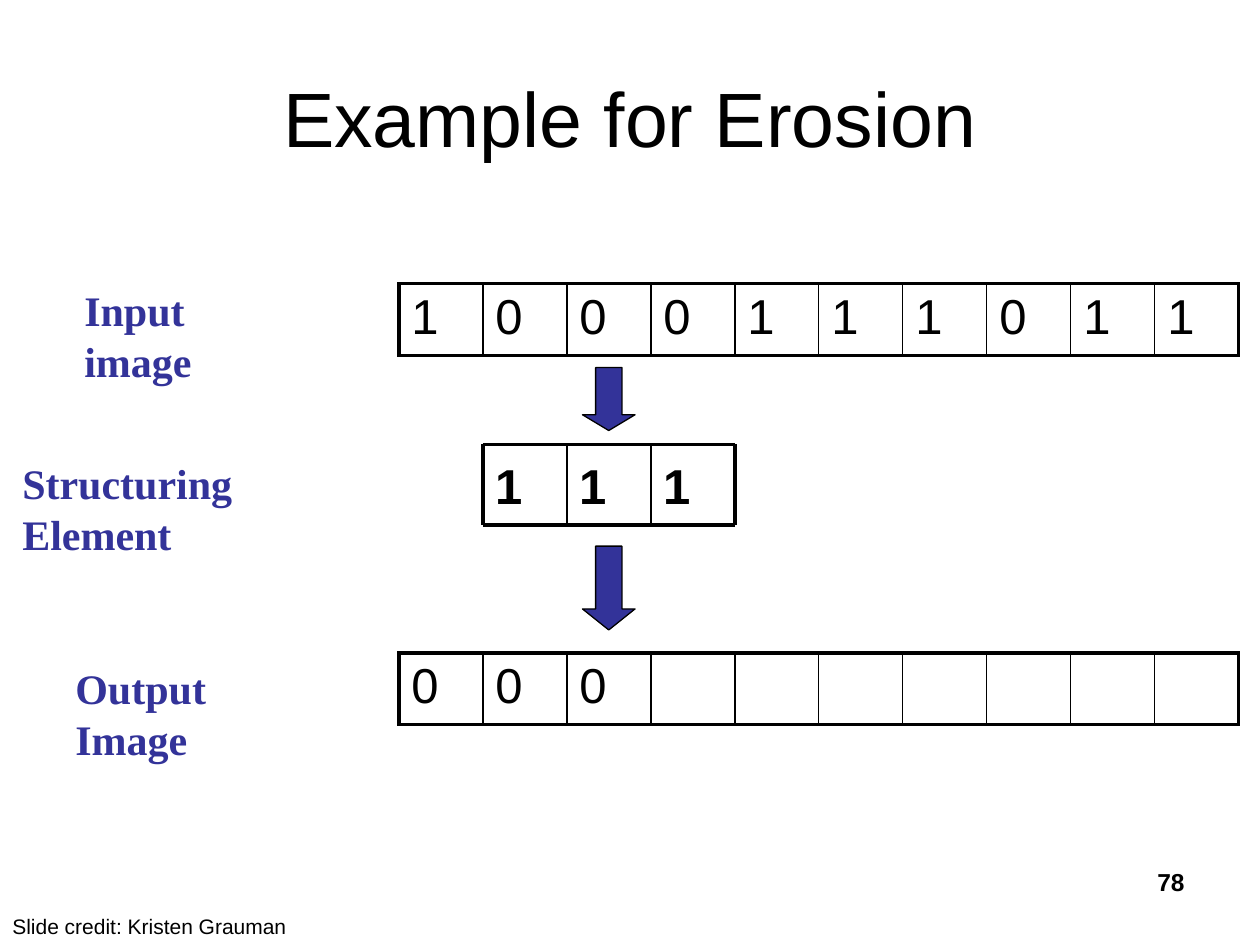
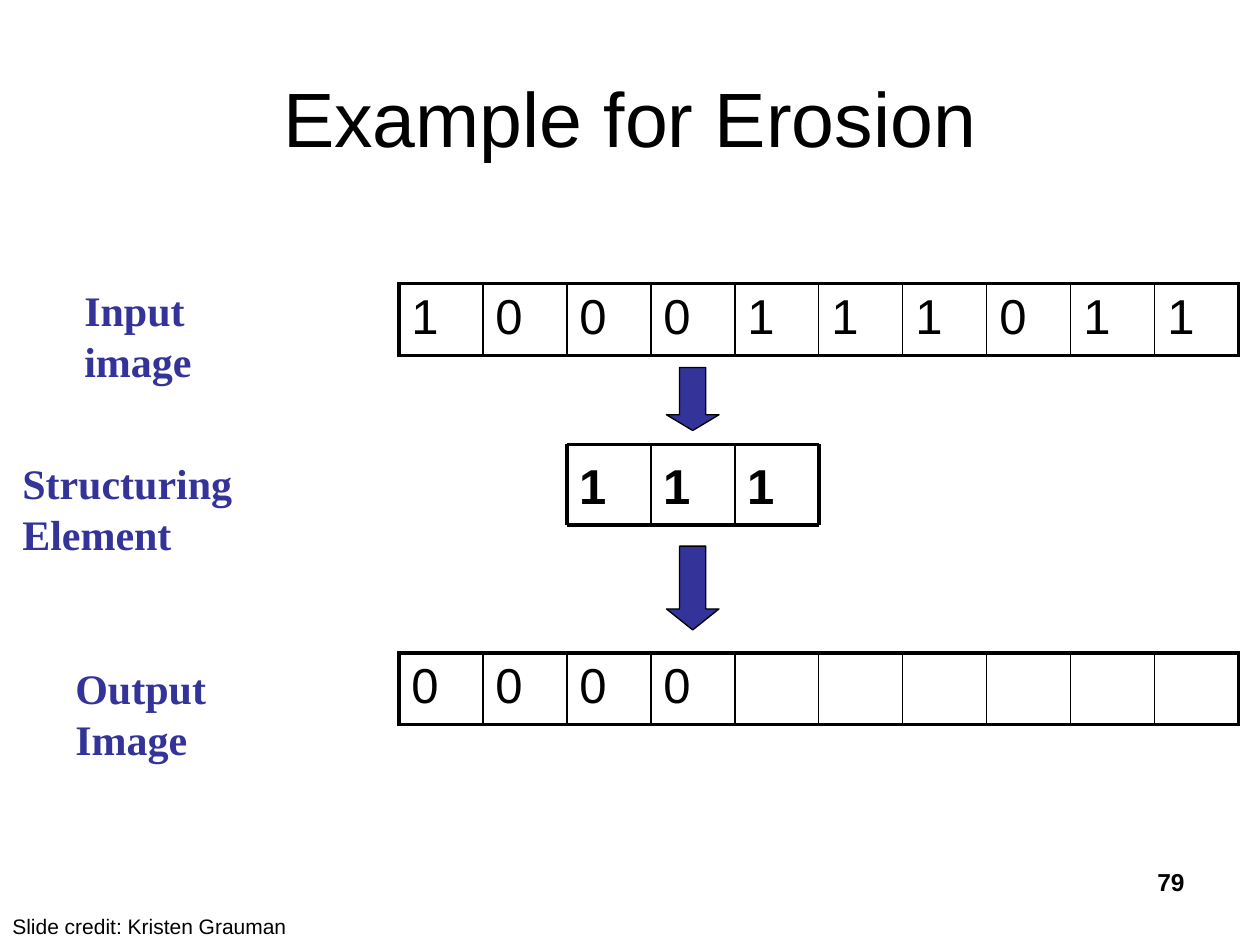
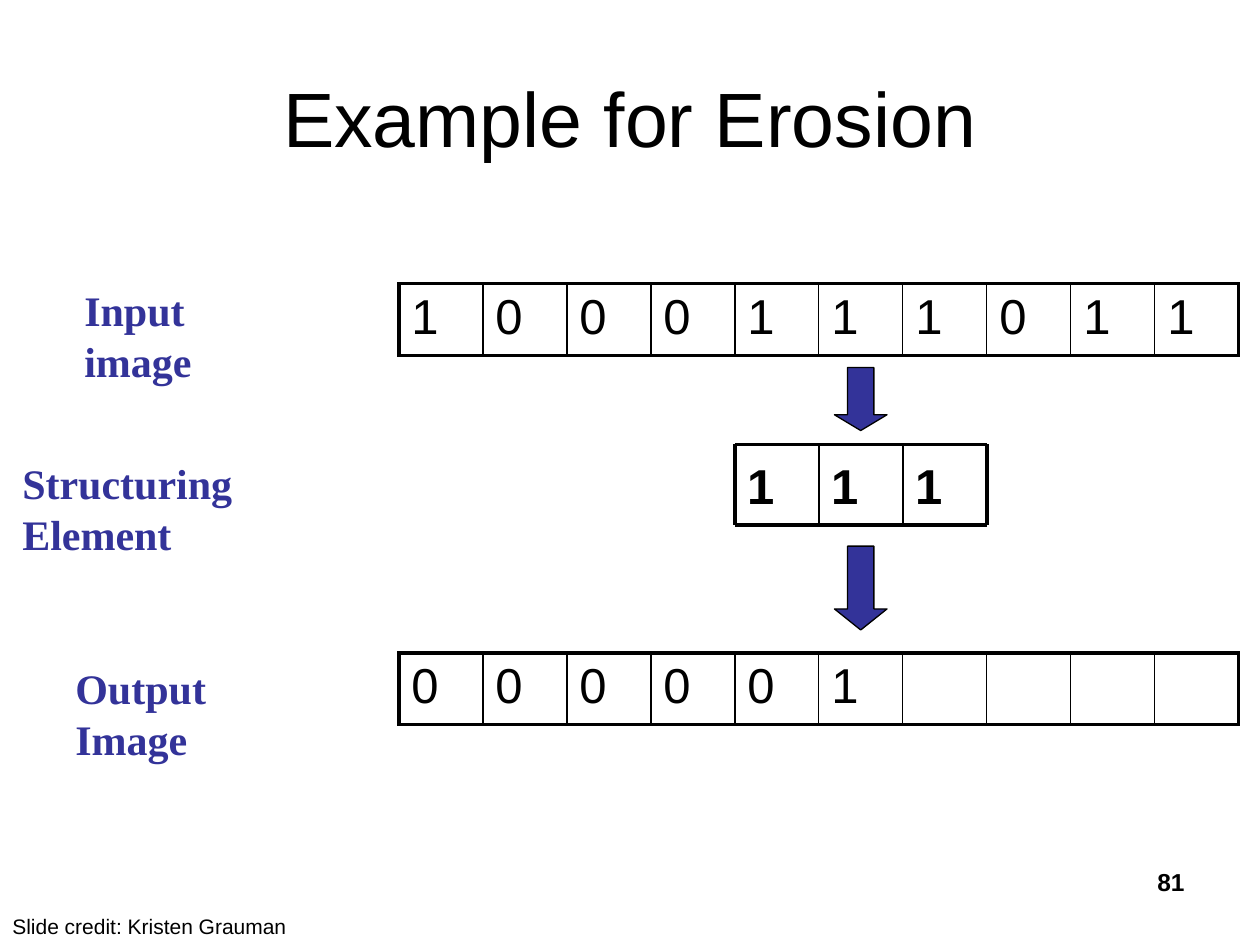
from lxml import etree
from pptx import Presentation
from pptx.dml.color import RGBColor
from pptx.enum.shapes import MSO_CONNECTOR, MSO_SHAPE
from pptx.enum.text import MSO_ANCHOR, PP_ALIGN
from pptx.oxml.ns import qn
from pptx.util import Cm, Pt

LEFT, CENTER, RIGHT = PP_ALIGN.LEFT, PP_ALIGN.CENTER, PP_ALIGN.RIGHT
TOP, MIDDLE = MSO_ANCHOR.TOP, MSO_ANCHOR.MIDDLE
STRAIGHT, DOWN_ARROW = MSO_CONNECTOR.STRAIGHT, MSO_SHAPE.DOWN_ARROW

BLACK, INDIGO = "000000", "333399"
SANS, SERIF = "Arial", "Times New Roman"
THICK, THIN = 2.25, 1
TITLE_ONLY = 5

SIGNAL_LEFT, SIGNAL_WIDTH, SIGNAL_LENGTH = 8.04, 16.93, 10
PIXEL = SIGNAL_WIDTH / SIGNAL_LENGTH
INPUT = "1000111011"
ELEMENT = "111"
STEPS = [("78", "000"), ("79", "0000"), ("81", "000001")]
LABELS = [
    ("Input image", (1.45, 5.61, 4.57, 1.27)),
    ("Structuring Element", (0.2, 9.09, 7.34, 1.27)),
    ("Output Image", (1.27, 13.23, 5.18, 1.27)),
]


def rgb(value):
    """Turn a hex string into a colour."""
    return RGBColor.from_string(value)


def lengths(*values):
    """Turn centimetres into slide lengths."""
    return [Cm(value) for value in values]


def write(frame, text, size, font=SANS, color=BLACK, bold=False, align=LEFT,
          anchor=TOP, spacing=None):
    """Put one formatted paragraph into a text frame."""
    frame.word_wrap = True
    frame.vertical_anchor = anchor
    paragraph = frame.paragraphs[0]
    paragraph.alignment = align
    paragraph.line_spacing = spacing
    run = paragraph.add_run()
    run.text = text
    run.font.size = Pt(size)
    run.font.name = font
    run.font.bold = bold
    run.font.color.rgb = rgb(color)


def add_text(slide, box, text, size, **style):
    """Add a text box with one formatted paragraph."""
    frame = slide.shapes.add_textbox(*lengths(*box)).text_frame
    write(frame, text, size, **style)


def add_rule(slide, start, end, width):
    """Draw a straight black line."""
    rule = slide.shapes.add_connector(STRAIGHT, *lengths(*start, *end))
    rule.line.color.rgb = rgb(BLACK)
    rule.line.width = Pt(width)
    etree.SubElement(rule._element.spPr, qn("a:effectLst"))


def set_borders(cell, **widths):
    """Give the cell black borders on the sides L, R, T and B."""
    properties = cell._tc.get_or_add_tcPr()
    for side, width in widths.items():
        border = etree.SubElement(properties, qn(f"a:ln{side}"), w=str(Pt(width)))
        fill = etree.SubElement(border, qn("a:solidFill"))
        etree.SubElement(fill, qn("a:srgbClr"), val=BLACK)


def add_signal(slide, box, values):
    """Draw a row of pixels, empty beyond the given values."""
    table = slide.shapes.add_table(1, SIGNAL_LENGTH, *lengths(*box)).table
    table.first_row = table.horz_banding = False
    last = SIGNAL_LENGTH - 1
    for index, value in enumerate(values.ljust(SIGNAL_LENGTH)):
        table.columns[index].width = Cm(box[2] / SIGNAL_LENGTH)
        cell = table.cell(0, index)
        set_borders(cell, L=THIN if index else THICK,
                    R=THIN if index < last else THICK, T=THICK, B=THICK)
        cell.fill.background()
        if value.strip():
            write(cell.text_frame, value, 28)


def add_element(slide, box):
    """Draw the structuring element as framed pixels."""
    left, top, width, height = box
    right, bottom = left + width, top + height
    pixel = width / len(ELEMENT)
    for index, value in enumerate(ELEMENT):
        add_text(slide, (left + index * pixel, top, pixel, height), value, 28,
                 bold=True, anchor=MIDDLE)
    for y in (top, bottom):
        add_rule(slide, (left, y), (right, y), THICK)
    for index in range(len(ELEMENT) + 1):
        x = left + index * pixel
        width = THICK if index in (0, len(ELEMENT)) else THIN
        add_rule(slide, (x, top), (x, bottom), width)


def add_arrow(slide, box, head):
    """Draw a downward arrow whose head has the given proportion."""
    arrow = slide.shapes.add_shape(DOWN_ARROW, *lengths(*box))
    arrow.shadow.inherit = False
    arrow.adjustments[0], arrow.adjustments[1] = 0.5, head
    arrow.fill.solid()
    arrow.fill.fore_color.rgb = rgb(INDIGO)
    arrow.line.color.rgb = rgb(BLACK)
    arrow.line.width = Pt(0.75)


def add_window(slide, box):
    """Draw the sliding element with its arrows in and out."""
    left, top, width, height = box
    arrow_width = 1.06
    arrow_left = left + (width - arrow_width) / 2
    add_element(slide, (left, top + 1.55, width, 1.63))
    add_arrow(slide, (arrow_left, top, arrow_width, 1.27), 0.3)
    add_arrow(slide, (arrow_left, top + height - 1.69, arrow_width, 1.69), 0.4)


def add_frame(slide, number):
    """Fill in the title, credit and page number."""
    title = slide.shapes.title
    title.left, title.top, title.width, title.height = lengths(1.27, 0.76, 22.86, 3.18)
    write(title.text_frame, "Example for Erosion", 44, align=CENTER, anchor=MIDDLE)
    add_text(slide, (0, 18.29, 11.64, 0.76), "Slide credit: Kristen Grauman", 12)
    add_text(slide, (18.2, 17.36, 5.93, 1.31), number, 14, bold=True, align=RIGHT)


def add_step(deck, number, output):
    """Add a slide with the element under the newest output pixel."""
    slide = deck.slides.add_slide(deck.slide_layouts[TITLE_ONLY])
    add_frame(slide, number)
    for label, box in LABELS:
        add_text(slide, box, label, 24, font=SERIF, color=INDIGO, bold=True,
                 spacing=Pt(29))
    add_signal(slide, (SIGNAL_LEFT, 5.72, SIGNAL_WIDTH, 1.42), INPUT)
    add_signal(slide, (SIGNAL_LEFT, 13.16, SIGNAL_WIDTH, 1.42), output)
    window_left = SIGNAL_LEFT + (len(output) - 2) * PIXEL
    add_window(slide, (window_left, 7.41, len(ELEMENT) * PIXEL, 5.29))


def main():
    """Build the deck."""
    deck = Presentation()
    deck.slide_width, deck.slide_height = lengths(25.4, 19.05)
    for number, output in STEPS:
        add_step(deck, number, output)
    deck.save("out.pptx")


if __name__ == "__main__":
    main()
